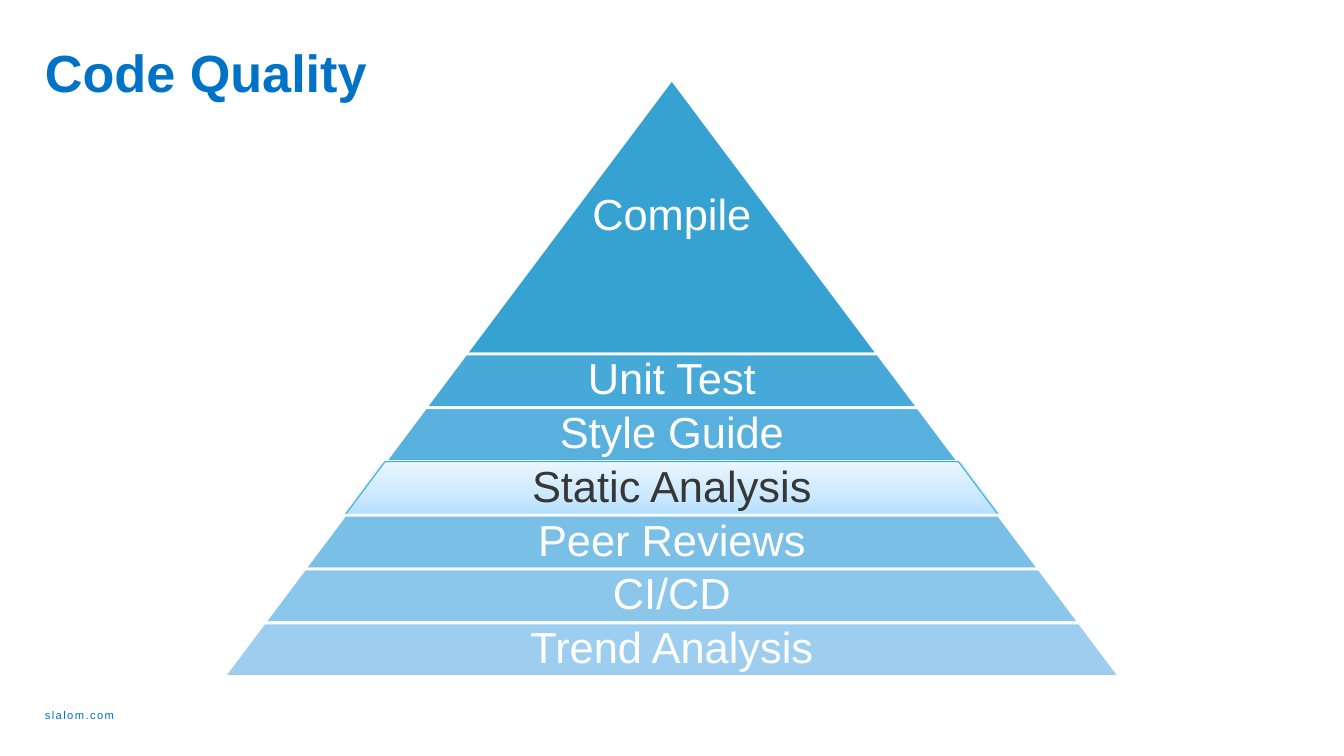
import copy

import pptx
import pptx.dml.color
import pptx.enum.shapes
import pptx.enum.text
import pptx.oxml
import pptx.oxml.ns
import pptx.util

Cm = pptx.util.Cm
Pt = pptx.util.Pt
RGBColor = pptx.dml.color.RGBColor
Anchor = pptx.enum.text.MSO_ANCHOR
Align = pptx.enum.text.PP_ALIGN

BLUE = RGBColor(0x00, 0x72, 0xC8)
WHITE = RGBColor(0xFF, 0xFF, 0xFF)
CHARCOAL = RGBColor(0x37, 0x37, 0x37)
HIGHLIGHT_EDGE = RGBColor(0x36, 0xB1, 0xE6)
HIGHLIGHT_STOPS = [
    (0, RGBColor(0xB4, 0xDF, 0xFF)),
    (0.35, RGBColor(0xCA, 0xE8, 0xFF)),
    (1, RGBColor(0xEB, 0xF6, 0xFF)),
]
LEVELS = [
    ("Compile", RGBColor(0x36, 0xA2, 0xD2)),
    ("Unit Test", RGBColor(0x47, 0xA9, 0xD7)),
    ("Style Guide", RGBColor(0x57, 0xB0, 0xDD)),
    ("Static Analysis", None),
    ("Peer Reviews", RGBColor(0x7A, 0xBF, 0xE6)),
    ("CI/CD", RGBColor(0x8B, 0xC6, 0xEB)),
    ("Trend Analysis", RGBColor(0x9D, 0xCE, 0xEF)),
]

CENTER = 16.93
APEX = 2.0
BASE = 17.05
TIP_HEIGHT = 6.92
BAND_HEIGHT = (BASE - APEX - TIP_HEIGHT) / (len(LEVELS) - 1)
SLOPE = 0.75

SHADOW = (
    '<a:effectLst xmlns:a="http://schemas.openxmlformats.org/drawingml/2006/main">'
    '<a:outerShdw blurRad="39370" dist="20320" dir="5400000" rotWithShape="0">'
    '<a:srgbClr val="000000"><a:alpha val="38000"/></a:srgbClr>'
    "</a:outerShdw></a:effectLst>"
)


class PyramidSlide:
    font_name = "Arial"

    def __init__(self, deck):
        self.slide = deck.slides.add_slide(deck.slide_layouts[5])

    def put_text(self, frame, text, size, color, bold=False, align=Align.LEFT):
        frame.text = text
        paragraph = frame.paragraphs[0]
        paragraph.alignment = align
        paragraph.line_spacing = 0.9
        paragraph.space_before = Pt(0)
        font = paragraph.runs[0].font
        font.name = self.font_name
        font.size = Pt(size)
        font.bold = bold
        font.color.rgb = color

    def inset(self, frame, left, top, right, bottom):
        frame.margin_left, frame.margin_top = Cm(left), Cm(top)
        frame.margin_right, frame.margin_bottom = Cm(right), Cm(bottom)

    def title(self, text):
        heading = self.slide.shapes.title
        heading.left, heading.top = Cm(1.13), Cm(1.2)
        heading.width, heading.height = Cm(31.6), Cm(1.25)
        frame = heading.text_frame
        frame.auto_size = pptx.enum.text.MSO_AUTO_SIZE.NONE
        frame.vertical_anchor = Anchor.TOP
        self.inset(frame, 0, 0, 0, 0)
        self.put_text(frame, text, 37.3, BLUE, bold=True)

    def footer(self, text):
        address = self.slide.shapes.add_textbox(Cm(1.13), Cm(17.83), Cm(2.06), Cm(0.48))
        frame = address.text_frame
        frame.word_wrap = False
        frame.vertical_anchor = Anchor.BOTTOM
        self.inset(frame, 0, 0.13, 0.25, 0.13)
        self.put_text(frame, text, 8, BLUE)
        frame.paragraphs[0].line_spacing = 1.0
        frame.paragraphs[0].runs[0].font._element.set("spc", "100")

    def level(self, text, color, top, height):
        width = 2 * SLOPE * (top + height - APEX)
        band = self.slide.shapes.add_shape(
            pptx.enum.shapes.MSO_SHAPE.TRAPEZOID,
            Cm(CENTER - width / 2), Cm(top), Cm(width), Cm(height),
        )
        band.adjustments[0] = SLOPE
        if color is None:
            self.highlight(band)
        else:
            band.shadow.inherit = False
            band.fill.solid()
            band.fill.fore_color.rgb = color
            band.line.color.rgb = WHITE
            band.line.width = Pt(2)
        frame = band.text_frame
        frame.word_wrap = False
        frame.vertical_anchor = Anchor.MIDDLE
        text_area_drop = 2 * SLOPE * height * height / width / 3
        self.inset(frame, 0.1, 0.1, 0.1, 0.1 + text_area_drop)
        self.put_text(frame, text, 31, WHITE if color else CHARCOAL, align=Align.CENTER)

    def highlight(self, band):
        band.fill.gradient()
        band.fill.gradient_angle = 90
        properties = band._element.spPr
        stop_list = properties.find(".//" + pptx.oxml.ns.qn("a:gsLst"))
        stop_list.insert(1, copy.deepcopy(stop_list[0]))
        for stop, (position, color) in zip(band.fill.gradient_stops, HIGHLIGHT_STOPS):
            stop.position = position
            stop.color.rgb = color
        band.line.color.rgb = HIGHLIGHT_EDGE
        band.line.width = Pt(0.75)
        properties.append(pptx.oxml.parse_xml(SHADOW))


def main():
    deck = pptx.Presentation()
    deck.slide_width, deck.slide_height = Cm(33.87), Cm(19.05)
    quality = PyramidSlide(deck)
    quality.footer("slalom.com")
    quality.title("Code Quality")
    top = APEX
    for index, (text, color) in enumerate(LEVELS):
        height = BAND_HEIGHT if index else TIP_HEIGHT
        quality.level(text, color, top, height)
        top += height
    deck.save("out.pptx")


if __name__ == "__main__":
    main()
